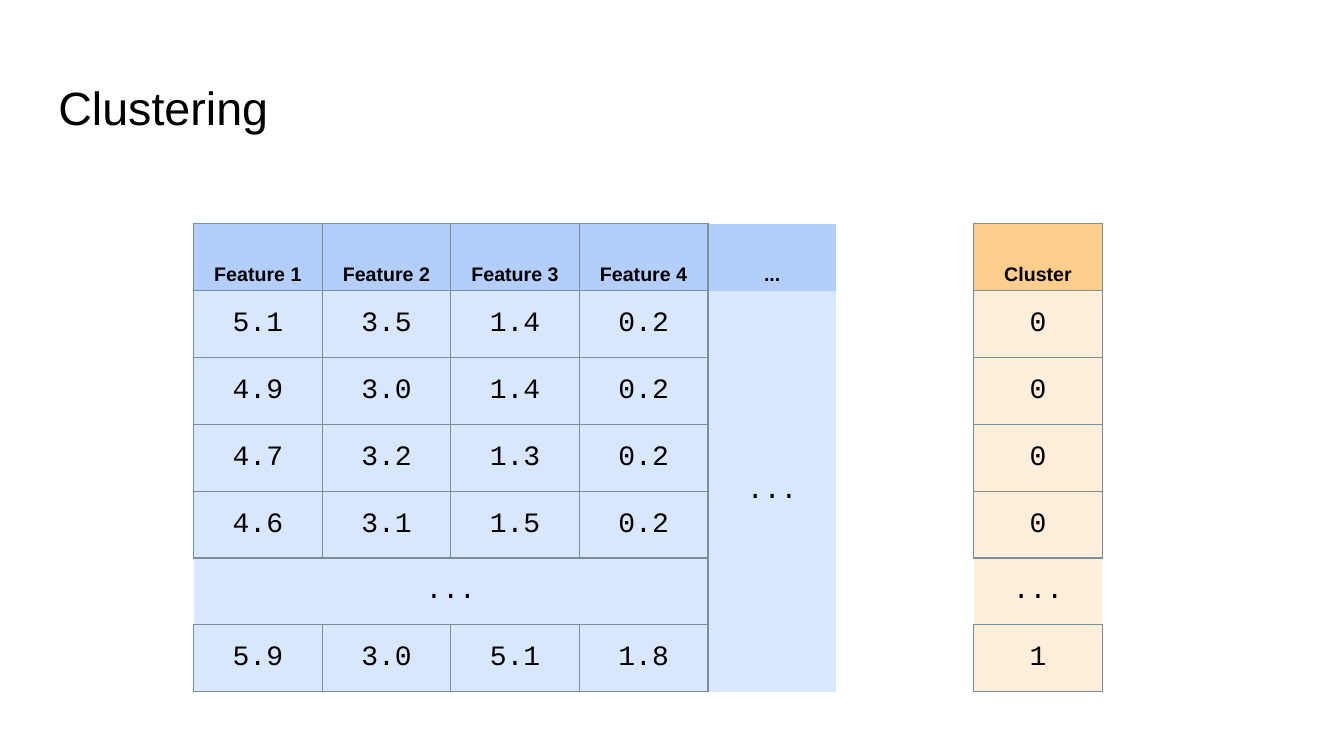
from lxml import etree
from pptx import Presentation
from pptx.dml.color import RGBColor
from pptx.enum import text as t
from pptx.oxml import ns
from pptx.util import Cm, Pt

BLACK = RGBColor(0x00, 0x00, 0x00)
GRID = RGBColor(0x78, 0x90, 0x9C)
BLUE_HEAD = RGBColor(0xB3, 0xCE, 0xFB)
BLUE_BODY = RGBColor(0xD9, 0xE7, 0xFD)
ORANGE_HEAD = RGBColor(0xFF, 0xCD, 0x8C)
ORANGE_BODY = RGBColor(0xFF, 0xEE, 0xD9)

PLAIN_STYLE = "{2D5ABB26-0587-4C30-8999-92F81FD0307C}"  # no fill, no grid
MORE = "..."
FEATURES = [
    ["Feature 1", "Feature 2", "Feature 3", "Feature 4", MORE],
    ["5.1", "3.5", "1.4", "0.2", MORE],
    ["4.9", "3.0", "1.4", "0.2", ""],
    ["4.7", "3.2", "1.3", "0.2", ""],
    ["4.6", "3.1", "1.5", "0.2", ""],
    [MORE, "", "", "", ""],
    ["5.9", "3.0", "5.1", "1.8", ""],
]
CLUSTERS = [["Cluster"], ["0"], ["0"], ["0"], ["0"], [MORE], ["1"]]
MORE_ROW, MORE_COLUMN = 5, 4


def write(frame, words, *, size, font="Arial", bold=False,
          align=t.PP_ALIGN.CENTER):
    paragraph = frame.paragraphs[0]
    paragraph.alignment = align
    run = paragraph.add_run()
    run.text = words
    run.font.name = font
    run.font.size = Pt(size)
    run.font.bold = bold
    run.font.color.rgb = BLACK


def draw_borders(cell, sides):
    """Draw 1 pt lines on the given sides, a subset of "LRTB"."""
    properties = cell._tc.get_or_add_tcPr()
    for side in sides:
        line = etree.SubElement(properties, ns.qn(f"a:ln{side}"), w=str(Pt(1)))
        fill = etree.SubElement(line, ns.qn("a:solidFill"))
        etree.SubElement(fill, ns.qn("a:srgbClr"), val=str(GRID))


def open_sides(row, column):
    """Cells that stand for further data are left open where data go on."""
    if column == MORE_COLUMN:
        return "L"
    return "TB" if row == MORE_ROW else "LRTB"


def add_title(slide, left, top, width, height):
    title = slide.shapes.add_textbox(left, top, width, height).text_frame
    title.word_wrap = True
    title.vertical_anchor = t.MSO_ANCHOR.MIDDLE
    title.margin_left = title.margin_right = Cm(0.33)
    title.margin_top = title.margin_bottom = Cm(0.33)
    write(title, "Clustering", size=33.3, align=t.PP_ALIGN.LEFT)


def add_data_table(slide, rows, head_fill, body_fill, left, top, width, height):
    frame = slide.shapes.add_table(len(rows), len(rows[0]),
                                   left, top, width, height)
    table = frame.table
    table.first_row = table.horz_banding = False
    table._tbl.tblPr.find(ns.qn("a:tableStyleId")).text = PLAIN_STYLE

    for r, row in enumerate(rows):
        is_head = r == 0
        for c, words in enumerate(row):
            cell = table.cell(r, c)
            draw_borders(cell, open_sides(r, c))
            cell.fill.solid()
            cell.fill.fore_color.rgb = head_fill if is_head else body_fill
            cell.vertical_anchor = (t.MSO_ANCHOR.BOTTOM if is_head
                                    else t.MSO_ANCHOR.MIDDLE)
            if words:
                write(cell.text_frame, words, size=14 if is_head else 20,
                      font="Arial" if is_head else "Courier New", bold=is_head)
    return table


def build_clustering_slide(prs):
    slide = prs.slides.add_slide(prs.slide_layouts[6])
    add_title(slide, Cm(1.14), Cm(1.65), Cm(31.55), Cm(2.11))

    top, column_width, height = Cm(5.64), Cm(3.24), Cm(11.79)
    # Feature table, with one merged cell for more columns and one for more rows
    features = add_data_table(slide, FEATURES, BLUE_HEAD, BLUE_BODY,
                              Cm(4.88), top, column_width * 5, height)
    features.cell(1, MORE_COLUMN).merge(features.cell(6, MORE_COLUMN))
    features.cell(MORE_ROW, 0).merge(features.cell(MORE_ROW, 3))

    # Cluster assigned to each row
    add_data_table(slide, CLUSTERS, ORANGE_HEAD, ORANGE_BODY,
                   Cm(24.54), top, column_width, height)


def main():
    prs = Presentation()
    prs.slide_width, prs.slide_height = Cm(33.87), Cm(19.05)
    build_clustering_slide(prs)
    prs.save("out.pptx")


if __name__ == "__main__":
    main()
